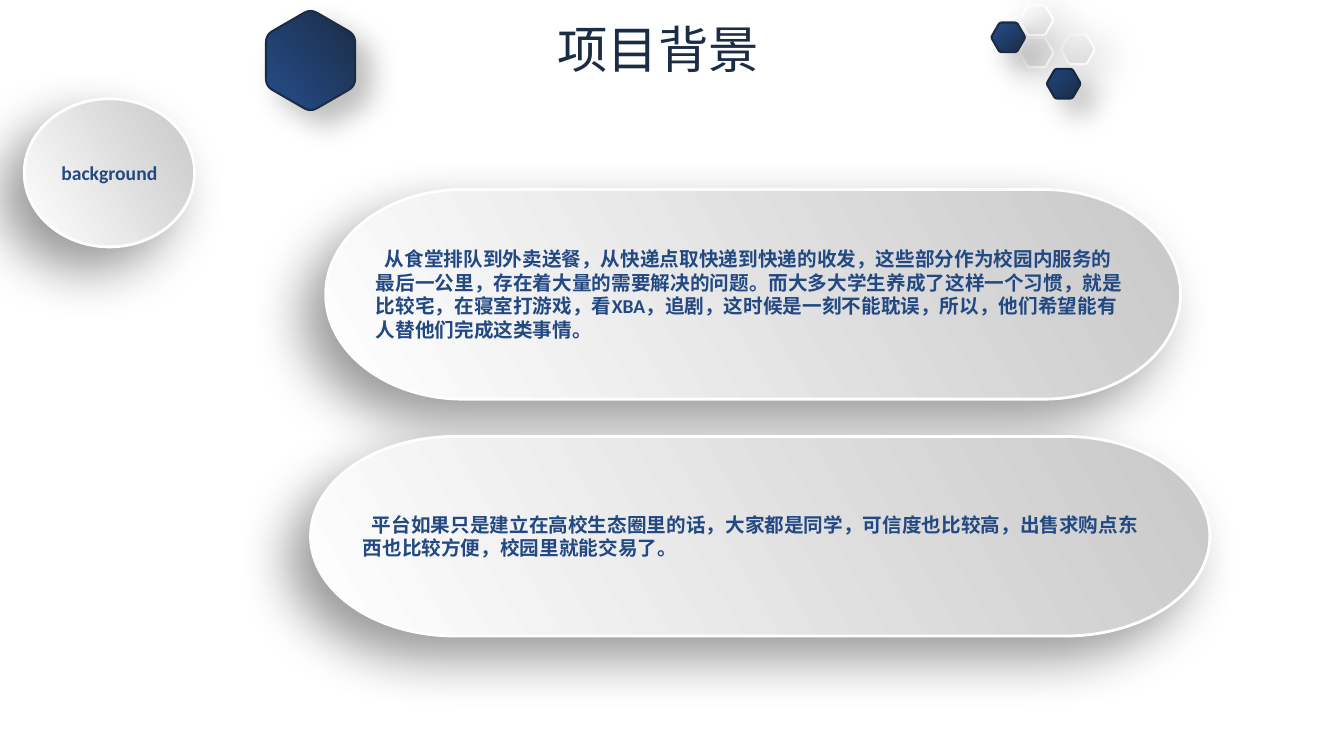
from math import cos, radians, sin
from lxml.etree import SubElement
from pptx import Presentation
from pptx.dml.color import RGBColor
from pptx.enum.shapes import MSO_SHAPE
from pptx.enum.text import MSO_ANCHOR, PP_ALIGN
from pptx.oxml.ns import qn
from pptx.util import Inches, Pt

NAVY = RGBColor(0x1B, 0x2C, 0x45)
BLUE = RGBColor(0x25, 0x4E, 0x8C)
TEXT_BLUE = RGBColor(0x23, 0x49, 0x83)
WHITE = RGBColor(0xFF, 0xFF, 0xFF)
OFF_WHITE = RGBColor(0xFE, 0xFE, 0xFE)
SILVER = RGBColor(0xDD, 0xDD, 0xDD)
GREY = RGBColor(0xC8, 0xC8, 0xC8)

DARK = dict(stops=(NAVY, BLUE), angle=40, line=NAVY, width=1.5, shadow=(25, 20, 15, 45))
LIGHT = dict(stops=(SILVER, OFF_WHITE), angle=40, line=OFF_WHITE, width=1.5, shadow=(20, 30, 10, 45))
PANEL = dict(stops=(WHITE, GREY), angle=30, line=OFF_WHITE, width=2, shadow=(40, 38, 22, 135))


class Deck:
    font = "Calibri"

    def __init__(self, prs):
        self.s = prs.slides.add_slide(prs.slide_layouts[6])

    def style(self, sp, stops, angle, line, width, shadow):
        sp.fill.gradient()
        sp.fill.gradient_angle = angle
        for stop, color in zip(sp.fill.gradient_stops, stops):
            stop.color.rgb = color
        sp.line.color.rgb = line
        sp.line.width = Pt(width)
        sp.shadow.inherit = False
        alpha, blur, dist, direction = shadow
        effects = sp.element.spPr.find(qn("a:effectLst"))
        outer = SubElement(effects, qn("a:outerShdw"), blurRad=str(Pt(blur)), dist=str(Pt(dist)),
                           dir=str(direction * 60000), algn="ctr", rotWithShape="0")
        color = SubElement(outer, qn("a:srgbClr"), val="000000")
        SubElement(color, qn("a:alpha"), val=str(alpha * 1000))

    def set_text(self, tf, text, size, color, bold=False, align=PP_ALIGN.LEFT, indent=0):
        tf.text = text
        tf.word_wrap = True
        p = tf.paragraphs[0]
        p.alignment = align
        if indent:
            pPr = p._p.get_or_add_pPr()
            pPr.set("marL", "0")
            pPr.set("indent", str(Inches(indent)))
        r = p.runs[0]
        r.font.name = self.font
        r.font.size = Pt(size)
        r.font.bold = bold
        r.font.color.rgb = color

    def hexagon(self, cx, cy, radius, rotation, style, cut=0.15, steps=6):
        corners = [(cx + radius * cos(radians(a)), cy + radius * sin(radians(a)))
                   for a in range(-90, 270, 60)]
        points = []
        for i, (x, y) in enumerate(corners):
            (px, py), (nx, ny) = corners[i - 1], corners[(i + 1) % 6]
            for k in range(steps + 1):
                t = k / steps
                before, after = cut * (1 - t) ** 2, cut * t ** 2
                points.append((Inches(x + before * (px - x) + after * (nx - x)),
                               Inches(y + before * (py - y) + after * (ny - y))))
        builder = self.s.shapes.build_freeform(*points[0])
        builder.add_line_segments(points[1:], close=True)
        sp = builder.convert_to_shape()
        sp.rotation = rotation
        self.style(sp, **style)

    def title(self, text, x, y, w, h, indent):
        tf = self.s.shapes.add_textbox(Inches(x), Inches(y), Inches(w), Inches(h)).text_frame
        self.set_text(tf, text, 36, NAVY, indent=indent)

    def panel(self, kind, text, x, y, w, h, **layout):
        sp = self.s.shapes.add_shape(kind, Inches(x), Inches(y), Inches(w), Inches(h))
        self.style(sp, **PANEL)
        sp.text_frame.vertical_anchor = MSO_ANCHOR.MIDDLE
        self.set_text(sp.text_frame, text, 14, TEXT_BLUE, bold=True, **layout)


prs = Presentation()
prs.slide_width, prs.slide_height = Inches(13.33), Inches(7.5)
deck = Deck(prs)

for cx, cy, style in [(10.55, 0.83, DARK), (10.69, 0.49, LIGHT), (10.28, 0.52, LIGHT),
                      (10.28, 0.2, LIGHT), (10, 0.37, DARK)]:
    deck.hexagon(cx, cy, 0.17, 270, style)
deck.title("项目背景", 5.2, 0.13, 2.97, 0.71, 0.23)
deck.hexagon(3.08, 0.6, 0.51, 180, DARK)

deck.panel(MSO_SHAPE.OVAL, "background", 0.24, 0.98, 1.69, 1.47, align=PP_ALIGN.CENTER)
deck.panel(MSO_SHAPE.FLOWCHART_TERMINATOR,
           "从食堂排队到外卖送餐，从快递点取快递到快递的收发，这些部分作为校园内服务的"
           "最后一公里，存在着大量的需要解决的问题。而大多大学生养成了这样一个习惯，就是"
           "比较宅，在寝室打游戏，看XBA，追剧，这时候是一刻不能耽误，所以，他们希望能有"
           "人替他们完成这类事情。", 3.23, 1.88, 8.48, 2.08, indent=0.09)
deck.panel(MSO_SHAPE.FLOWCHART_TERMINATOR,
           "平台如果只是建立在高校生态圈里的话，大家都是同学，可信度也比较高，出售求购点东"
           "西也比较方便，校园里就能交易了。", 3.08, 4.33, 8.92, 1.98, indent=0.09)

prs.save("out.pptx")
